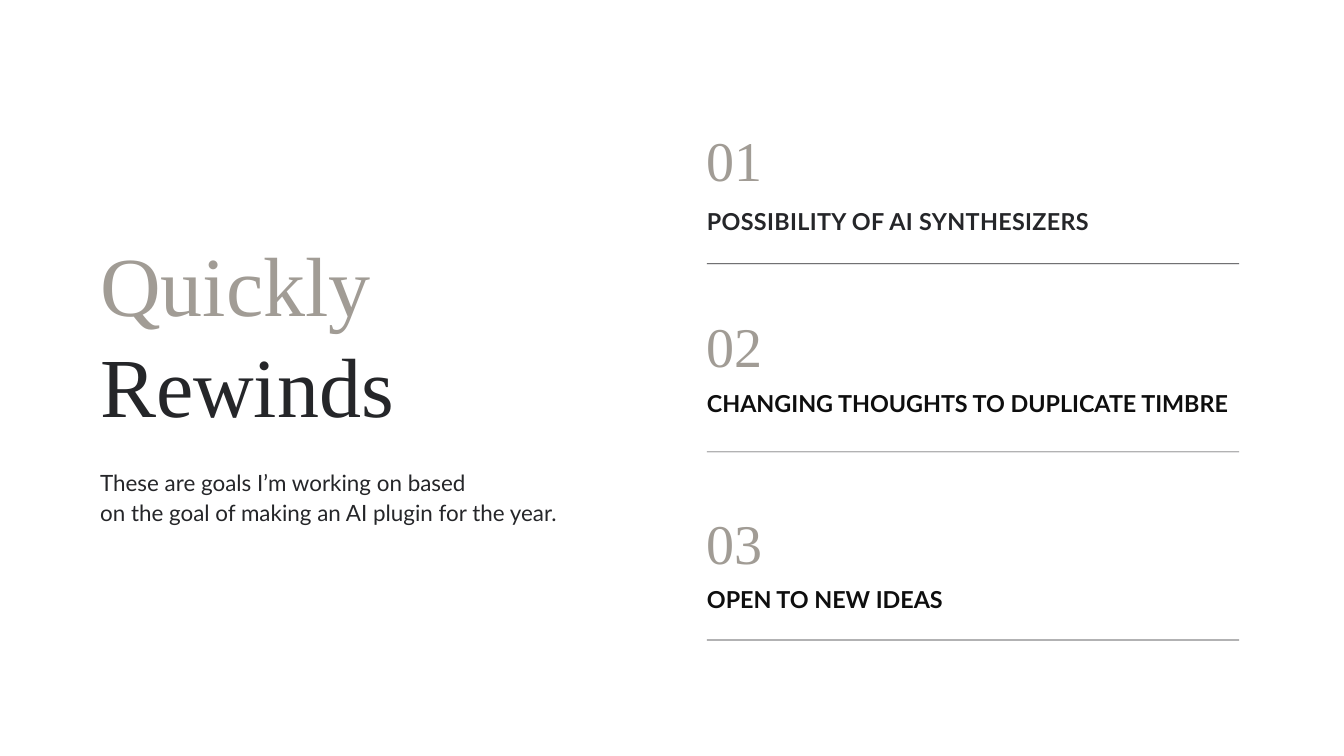
from pptx import Presentation
from pptx.dml.color import RGBColor
from pptx.enum.shapes import MSO_SHAPE
from pptx.enum.text import MSO_AUTO_SIZE
from pptx.util import Pt

RECTANGLE = MSO_SHAPE.RECTANGLE
FIT_SHAPE = MSO_AUTO_SIZE.SHAPE_TO_FIT_TEXT
PX = 9144
SLIDE_SIZE = (2000, 1125)
SERIF, SANS = "Times New Roman", "Lato"
COLORS = {"paper": "FFFFFF", "taupe": "A19C95", "ink": "252629", "black": "0E0E0E"}

TITLE = [("Quickly", "taupe"), ("Rewinds", "ink")]
INTRO = [
    ("These are goals I’m working on based", "ink"),
    ("on the goal of making an AI plugin for the year.", "ink"),
]
GOALS = [
    {"number": "01", "top": 187, "width": 806, "height": 43,
     "label": ("POSSIBILITY OF AI SYNTHESIZERS", "ink"),
     "format": {"line_spacing": 35, "tracking": 0.4}},
    {"number": "02", "top": 464, "width": 806, "height": 84,
     "label": ("CHANGING THOUGHTS TO DUPLICATE TIMBRE", "black"), "format": {}},
    {"number": "03", "top": 756, "width": 948, "height": 42,
     "label": ("OPEN TO NEW IDEAS", "black"), "format": {}},
]

LEFT_X, LEFT_WIDTH = 149, 710
GOAL_X = 1052
NUMBER_HEIGHT, LABEL_OFFSET = 100, 115
RULE_TOP, RULE_STEP, RULE_WIDTH = 392, 280, 792


def color(name):
    return RGBColor.from_string(COLORS[name])


def box(left, top, width, height):
    return [length * PX for length in (left, top, width, height)]


def add_text(slide, lines, place, *, size, font, line_spacing=None, bold=False, tracking=0):
    frame = slide.shapes.add_textbox(*box(*place)).text_frame
    frame.margin_left = frame.margin_top = frame.margin_right = frame.margin_bottom = 0
    frame.word_wrap = True
    frame.auto_size = FIT_SHAPE
    for index, (text, color_name) in enumerate(lines):
        paragraph = frame.add_paragraph() if index else frame.paragraphs[0]
        if line_spacing:
            paragraph.line_spacing = Pt(line_spacing)
        run = paragraph.add_run()
        run.text = text
        run.font.name = font
        run.font.size = Pt(size)
        run.font.bold = bold
        run.font.color.rgb = color(color_name)
        if tracking:
            run._r.get_or_add_rPr().set("spc", str(round(tracking * 100)))


def add_rule(slide, top):
    shape = slide.shapes.add_shape(RECTANGLE, *box(GOAL_X, top, RULE_WIDTH, 1))
    shape.shadow.inherit = False
    shape.fill.solid()
    shape.fill.fore_color.rgb = color("ink")
    shape.line.fill.background()


def main():
    presentation = Presentation()
    presentation.slide_width, presentation.slide_height = [side * PX for side in SLIDE_SIZE]
    slide = presentation.slides.add_slide(presentation.slide_layouts[6])
    slide.background.fill.solid()
    slide.background.fill.fore_color.rgb = color("paper")

    add_text(slide, TITLE, (LEFT_X, 346, LEFT_WIDTH, 300),
             size=90, font=SERIF, line_spacing=108)
    add_text(slide, INTRO, (LEFT_X, 693, LEFT_WIDTH, 84),
             size=24, font=SANS, line_spacing=32.2)

    for index, goal in enumerate(GOALS):
        top, width = goal["top"], goal["width"]
        add_text(slide, [(goal["number"], "taupe")], (GOAL_X, top, width, NUMBER_HEIGHT),
                 size=60, font=SERIF, line_spacing=72)
        add_text(slide, [goal["label"]], (GOAL_X, top + LABEL_OFFSET, width, goal["height"]),
                 size=25, font=SANS, bold=True, **goal["format"])
        add_rule(slide, RULE_TOP + index * RULE_STEP)

    presentation.save("out.pptx")


if __name__ == "__main__":
    main()
